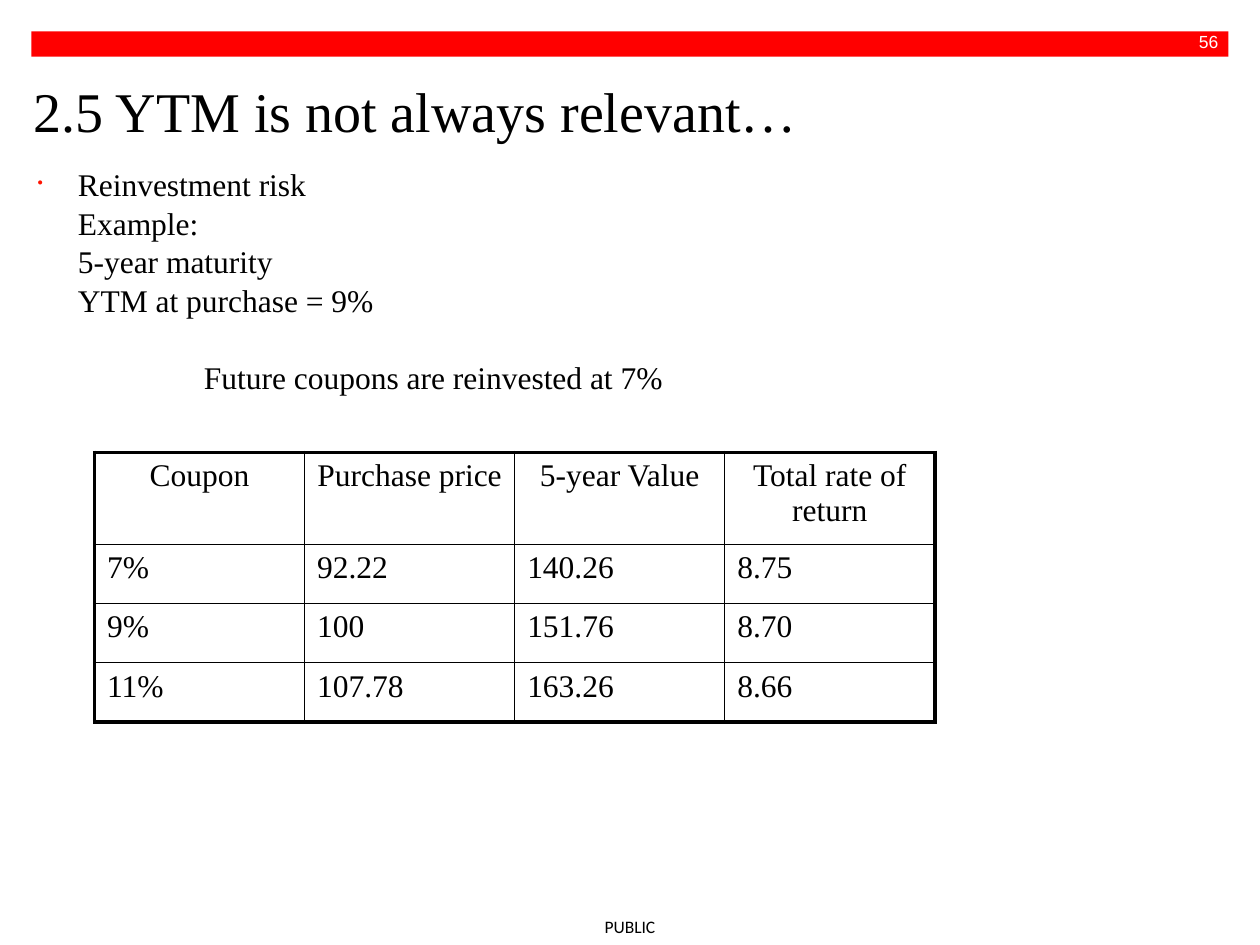
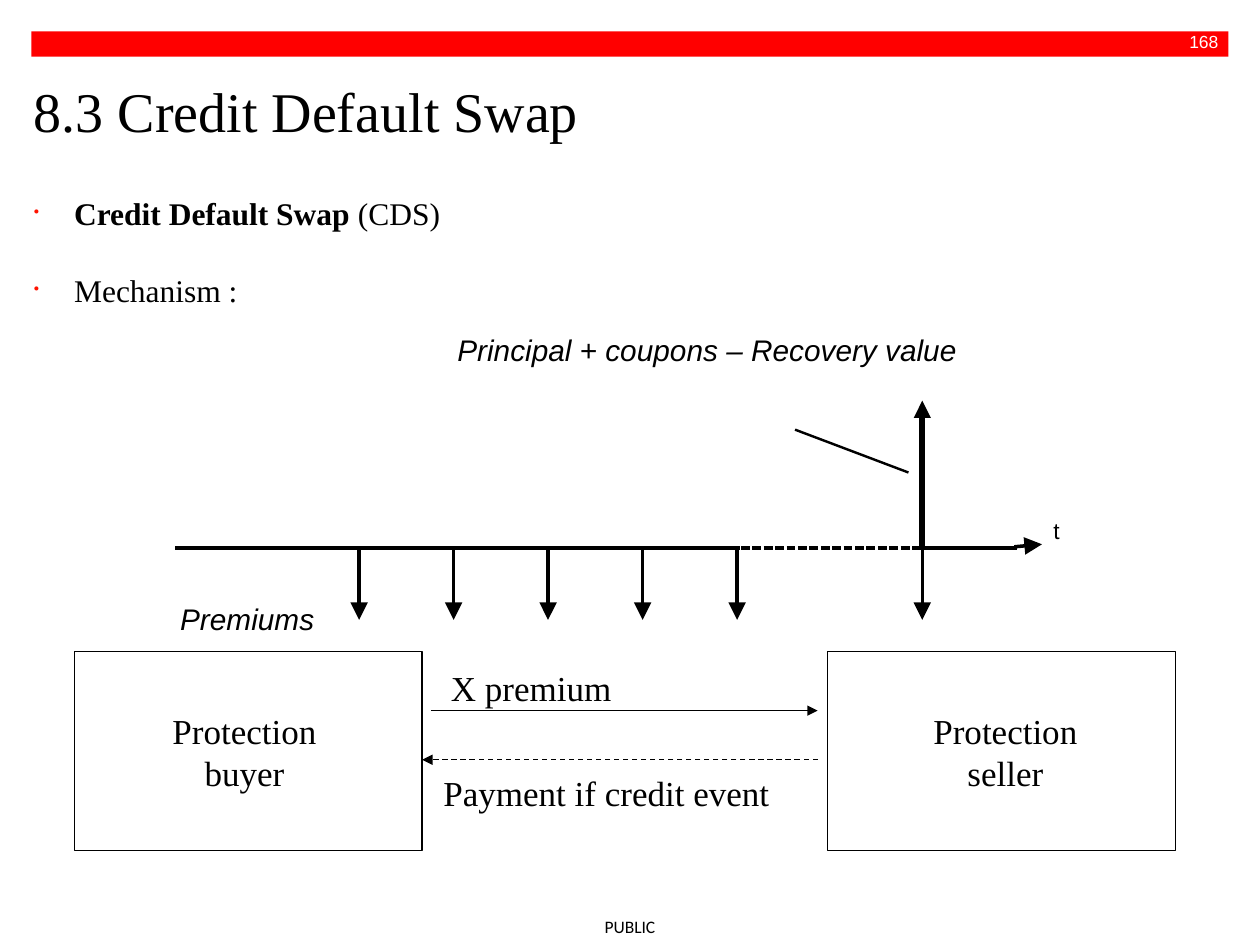
"""Build two bond-market slides: reinvestment risk and credit default swaps."""
from dataclasses import dataclass

from lxml import etree
from pptx import Presentation
from pptx.dml.color import RGBColor
from pptx.enum import dml, shapes, text
from pptx.oxml import ns
from pptx.util import Inches, Pt


@dataclass(frozen=True)
class Theme:
    ink: str = "000000"
    paper: str = "FFFFFF"
    band: str = "FF0000"
    bullet: str = "FF1300"
    serif: str = "Times New Roman"
    sans: str = "Arial"
    footer_font: str = "Calibri"
    title_size: int = 32
    box_size: int = 20
    body_size: int = 18
    label_size: int = 17
    axis_size: int = 13
    small_size: int = 10
    thin: float = 0.75
    grid: float = 1
    frame: float = 2.25
    leader: float = 1.38
    axis: float = 2
    payoff: float = 3.25


THEME = Theme()
PADDING = (0.1, 0.05)
FOOTER = "PUBLIC"
HANG, DEEP = 0.32, 1.32
TIGHT, LOOSE = 3.6, 25.6

REINVESTMENT = {
    "number": "56",
    "title": "2.5 YTM is not always relevant…",
    "body_at": (0.2, 1.31, 9.56, 5.12),
    "body": [
        ([("Reinvestment risk", False)], True, HANG, 0),
        ([("Example:", False)], False, HANG, TIGHT),
        ([("5-year maturity", False)], False, HANG, TIGHT),
        ([("YTM at purchase = 9%", False)], False, HANG, TIGHT),
        ([("Future coupons are reinvested at 7%", False)], False, DEEP, LOOSE),
    ],
}
RETURNS = [
    ("Coupon", "Purchase price", "5-year Value", "Total rate of return"),
    ("7%", "92.22", "140.26", "8.75"),
    ("9%", "100", "151.76", "8.70"),
    ("11%", "107.78", "163.26", "8.66"),
]
RETURNS_AT = (0.75, 3.59, 6.67, 2.14)
HEADER_HEIGHT, ROW_HEIGHT = 0.73, 0.47

SWAP = {
    "number": "168",
    "title": "8.3 Credit Default Swap",
    "body_at": (0.17, 1.54, 9.56, 4.25),
    "body": [
        ([("Credit Default Swap", True), (" (CDS)", False)], True, HANG, 0),
        ([("Mechanism :", False)], True, HANG, LOOSE),
    ],
}
PARTIES = [("buyer", 0.59, 0.75, 2.38), ("seller", 6.57, 6.81, 2.34)]
FLOW_LABELS = [
    ("X premium", (3.48, 5.24, 1.48, 0.44)),
    ("Payment if credit event", (3.42, 6.07, 2.81, 0.44)),
]
CASH_LABELS = [
    ("Principal + coupons – Recovery value", (3.63, 2.63, 4, 0.29)),
    ("Premiums", (1.43, 4.77, 1.07, 0.29)),
]
AXIS_Y = 4.35
AXIS_START, AXIS_PAUSE, DEFAULT, AXIS_END = 1.39, 5.87, 7.32, 8.07
DASH_COUNT, DASH_LENGTH, DASH_GAP = 16, 0.07, 0.02
FIRST_PREMIUM, PREMIUM_STEP, PREMIUM_COUNT = 2.85, 0.75, 5
PREMIUM_END, PAYOFF_TOP = 4.92, 3.18


def color(value):
    return RGBColor.from_string(value)


def place(box):
    return [Inches(value) for value in box]


def style(paragraph, size, font=THEME.serif, ink=THEME.ink, align=text.PP_ALIGN.LEFT, italic=None):
    paragraph.alignment = align
    paragraph.font.size = Pt(size)
    paragraph.font.name = font
    paragraph.font.color.rgb = color(ink)
    paragraph.font.italic = italic


def set_frame(frame, padding, anchor=text.MSO_ANCHOR.TOP, wrap=True):
    frame.margin_left = frame.margin_right = Inches(padding[0])
    frame.margin_top = frame.margin_bottom = Inches(padding[1])
    frame.vertical_anchor = anchor
    frame.word_wrap = wrap


def add_text(slide, content, box, size, padding=PADDING, wrap=True,
             anchor=text.MSO_ANCHOR.TOP, **look):
    frame = slide.shapes.add_textbox(*place(box)).text_frame
    set_frame(frame, padding, anchor, wrap)
    frame.text = content
    for paragraph in frame.paragraphs:
        style(paragraph, size, **look)


def add_rectangle(slide, box, fill=None, line=None):
    shape = slide.shapes.add_shape(shapes.MSO_SHAPE.RECTANGLE, *place(box))
    shape.shadow.inherit = False
    if fill:
        shape.fill.solid()
        shape.fill.fore_color.rgb = color(fill)
    else:
        shape.fill.background()
    if line:
        shape.line.color.rgb = color(line)
        shape.line.width = Pt(THEME.thin)
    else:
        shape.line.fill.background()
    return shape


def add_line(slide, start, end, width, dash=None, head=None):
    connector = slide.shapes.add_connector(shapes.MSO_CONNECTOR.STRAIGHT, *place(start + end))
    connector.line.color.rgb = color(THEME.ink)
    connector.line.width = Pt(width)
    if dash:
        connector.line.dash_style = dash
    if head:
        etree.SubElement(connector.line._get_or_add_ln(), ns.qn("a:tailEnd"),
                         type="triangle", w=head, len=head)
    etree.SubElement(connector._element.spPr, ns.qn("a:effectLst"))


def indent(paragraph, left, bullet):
    properties = paragraph._p.get_or_add_pPr()
    properties.set("marL", str(Inches(left)))
    properties.set("indent", str(-Inches(left) if bullet else 0))
    if bullet:
        tint = etree.SubElement(properties, ns.qn("a:buClr"))
        etree.SubElement(tint, ns.qn("a:srgbClr"), val=THEME.bullet)
        etree.SubElement(properties, ns.qn("a:buSzPct"), val="50000")
        etree.SubElement(properties, ns.qn("a:buChar"), char="•")
    else:
        etree.SubElement(properties, ns.qn("a:buNone"))


def add_body(slide, lines, box):
    frame = add_rectangle(slide, box, fill=THEME.paper).text_frame
    set_frame(frame, PADDING)
    for index, (runs, bullet, left, before) in enumerate(lines):
        paragraph = frame.add_paragraph() if index else frame.paragraphs[0]
        indent(paragraph, left, bullet)
        paragraph.line_spacing = 0.85
        paragraph.space_before = Pt(before)
        style(paragraph, THEME.body_size)
        for content, bold in runs:
            run = paragraph.add_run()
            run.text = content
            if bold:
                run.font.bold = True


def add_page(presentation, page):
    slide = presentation.slides.add_slide(presentation.slide_layouts[6])
    band = add_rectangle(slide, (0.25, 0.25, 9.5, 0.2), fill=THEME.band)
    set_frame(band.text_frame, (0.08, 0))
    band.text_frame.text = page["number"]
    style(band.text_frame.paragraphs[0], THEME.small_size, THEME.sans, THEME.paper,
          text.PP_ALIGN.RIGHT)
    add_text(slide, FOOTER, (4.65, 7.21, 0.7, 0.29), THEME.small_size, (0, 0),
             anchor=text.MSO_ANCHOR.MIDDLE, font=THEME.footer_font,
             align=text.PP_ALIGN.CENTER)
    add_body(slide, page["body"], page["body_at"])
    add_text(slide, page["title"], (0.17, 0.56, 9.83, 0.63), THEME.title_size)
    return slide


def add_borders(cell, outer_edges):
    properties = cell._tc.get_or_add_tcPr()
    for side, outer in zip("LRTB", outer_edges):
        width = Pt(THEME.frame if outer else THEME.grid)
        border = etree.SubElement(properties, ns.qn(f"a:ln{side}"), w=str(width))
        fill = etree.SubElement(border, ns.qn("a:solidFill"))
        etree.SubElement(fill, ns.qn("a:srgbClr"), val=THEME.ink)


def add_returns_table(slide):
    row_count, column_count = len(RETURNS), len(RETURNS[0])
    table = slide.shapes.add_table(row_count, column_count, *place(RETURNS_AT)).table
    table.first_row = table.horz_banding = False
    for column in table.columns:
        column.width = Inches(RETURNS_AT[2] / column_count)
    for i, values in enumerate(RETURNS):
        table.rows[i].height = Inches(ROW_HEIGHT if i else HEADER_HEIGHT)
        for j, value in enumerate(values):
            cell = table.cell(i, j)
            cell.text = value
            align = text.PP_ALIGN.LEFT if i else text.PP_ALIGN.CENTER
            style(cell.text_frame.paragraphs[0], THEME.body_size, align=align)
            add_borders(cell, (j == 0, j == column_count - 1, i == 0, i == row_count - 1))
            cell.fill.background()


def add_parties(slide):
    for role, box_left, label_left, label_width in PARTIES:
        add_rectangle(slide, (box_left, 5.17, 2.76, 1.58), line=THEME.ink)
        add_text(slide, f"Protection\n{role}", (label_left, 5.58, label_width, 0.77),
                 THEME.box_size, align=text.PP_ALIGN.CENTER)
    add_line(slide, (3.42, 5.64), (6.49, 5.64), THEME.thin, head="med")
    add_line(slide, (6.49, 6.03), (3.35, 6.03), THEME.thin, dml.MSO_LINE.DASH, "med")
    for label, box in FLOW_LABELS:
        add_text(slide, label, box, THEME.box_size, wrap=False)


def add_cash_flows(slide):
    pitch = (DEFAULT - AXIS_PAUSE) / DASH_COUNT
    dashes = [AXIS_PAUSE + DASH_GAP / 2 + pitch * i for i in range(DASH_COUNT)]
    segments = [(AXIS_START, AXIS_PAUSE), (DEFAULT, AXIS_END)]
    segments += [(x, x + DASH_LENGTH) for x in dashes]
    for left, right in segments:
        add_line(slide, (left, AXIS_Y), (right, AXIS_Y), THEME.axis)
    add_line(slide, (8.05, 4.34), (8.27, 4.32), THEME.axis, head="lg")
    premiums = [FIRST_PREMIUM + PREMIUM_STEP * i for i in range(PREMIUM_COUNT)]
    for x in premiums + [DEFAULT]:
        add_line(slide, (x, AXIS_Y), (x, PREMIUM_END), THEME.axis, head="lg")
    add_line(slide, (DEFAULT, AXIS_Y), (DEFAULT, PAYOFF_TOP), THEME.payoff, head="med")
    add_line(slide, (6.31, 3.41), (7.21, 3.75), THEME.leader)
    for label, box in CASH_LABELS:
        add_text(slide, label, box, THEME.label_size, (0, 0), wrap=False,
                 font=THEME.sans, italic=True)
    add_text(slide, "t", (8.36, 4.1, 0.05, 0.22), THEME.axis_size, (0, 0), wrap=False,
             font=THEME.sans)


def main():
    presentation = Presentation()
    presentation.slide_width, presentation.slide_height = Inches(10), Inches(7.5)
    add_returns_table(add_page(presentation, REINVESTMENT))
    swap_slide = add_page(presentation, SWAP)
    add_parties(swap_slide)
    add_cash_flows(swap_slide)
    presentation.save("out.pptx")


if __name__ == "__main__":
    main()
